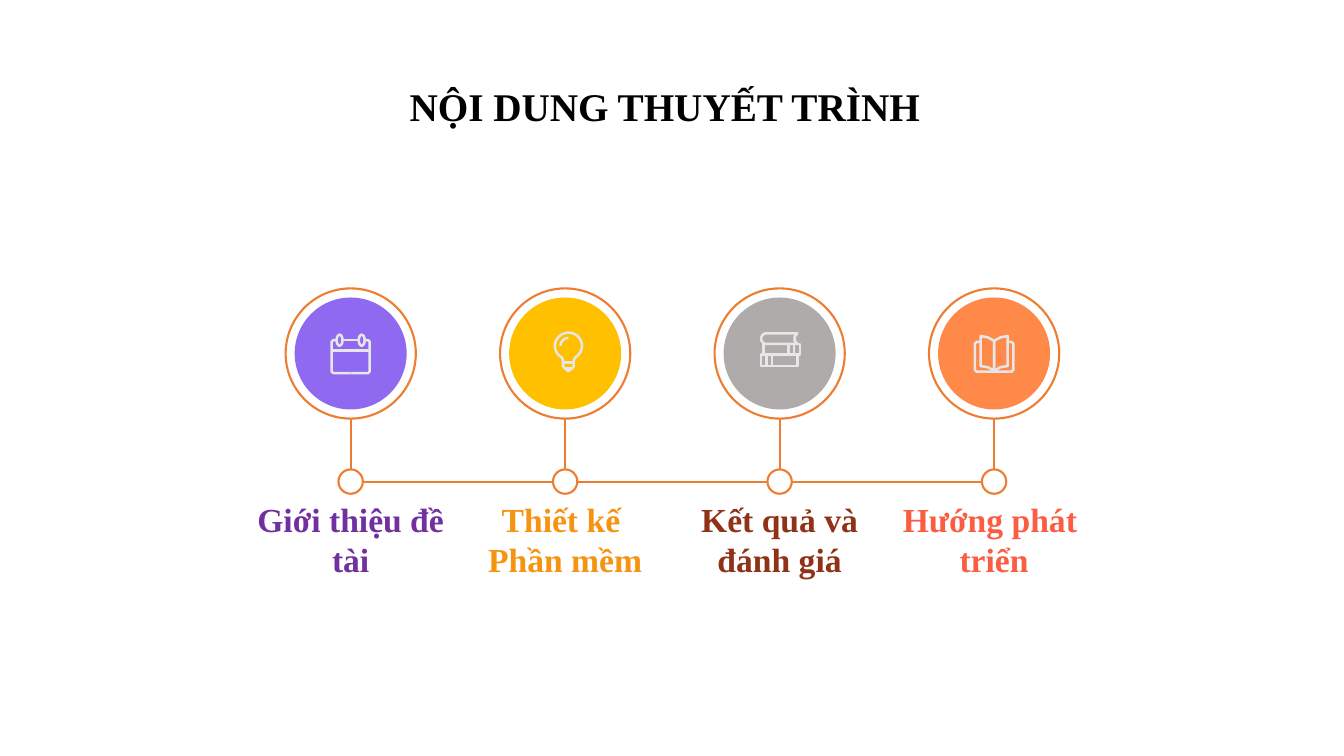
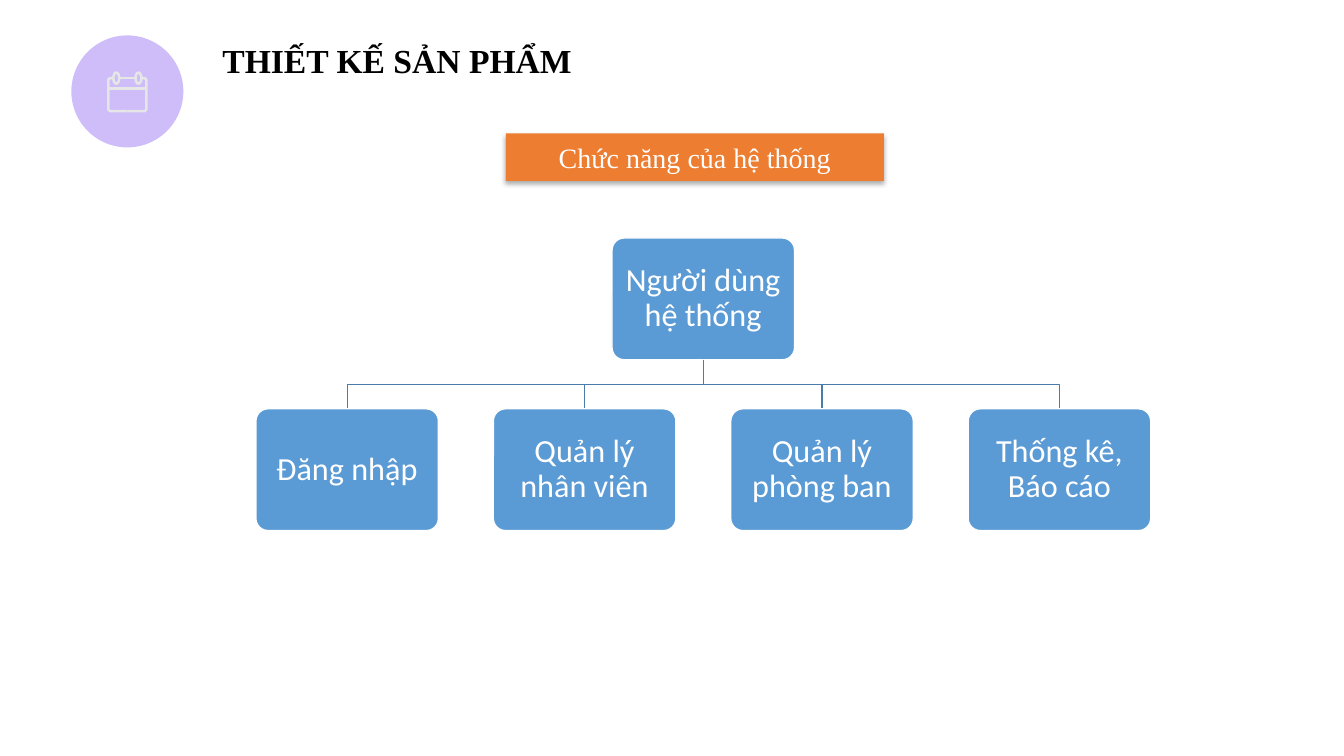
"""Build two slides: a four-step agenda and a function tree of the system."""
from dataclasses import dataclass
from math import cos, radians, sin
from typing import Any, Optional

from lxml.etree import SubElement
from pptx import Presentation
from pptx.dml.color import RGBColor
from pptx.enum.shapes import MSO_CONNECTOR as CXN, MSO_SHAPE as SHP
from pptx.enum.text import MSO_ANCHOR as ANCHOR, PP_ALIGN as ALIGN
from pptx.oxml.ns import qn
from pptx.util import Pt

Point = tuple[float, float]
Stroke = list[Point]

COLORS = {
    "black": "000000", "white": "FFFFFF", "icon": "E7E6E6", "accent": "ED7D31",
    "violet": "9069F1", "amber": "FFC000", "gray": "AFABAB", "coral": "FE8948",
    "purple": "7030A0", "orange": "F69412", "brown": "903218", "red": "FB5D43",
    "node": "5B9BD5", "branch": "497CAB",
}
SERIF = "Times New Roman"
TITLE = {"name": SERIF, "size": Pt(28), "bold": True}
HEADING = {"name": SERIF, "size": Pt(24), "bold": True}
BANNER = {"name": SERIF, "size": Pt(20), "bold": False}
NODE = {"name": "Calibri", "size": Pt(23), "bold": False}

DISC = 80
RING = 93
DOT = 17.4
NODE_W, NODE_H = 130.4, 87


@dataclass(frozen=True)
class Box:
    x: float
    y: float
    w: float
    h: float

    @classmethod
    def around(cls, cx: float, cy: float, w: float, h: float) -> "Box":
        return cls(cx - w / 2, cy - h / 2, w, h)

    def emu(self) -> tuple:
        return Pt(self.x), Pt(self.y), Pt(self.w), Pt(self.h)


@dataclass(frozen=True)
class Step:
    lines: tuple[str, ...]
    fill: str
    ink: str
    icon: str


STEPS = (
    Step(("Giới thiệu đề tài",), "violet", "purple", "calendar"),
    Step(("Thiết kế ", "Phần mềm"), "amber", "orange", "bulb"),
    Step(("Kết quả và", "đánh giá"), "gray", "brown", "books"),
    Step(("Hướng phát ", "triển"), "coral", "red", "open book"),
)
FUNCTIONS = ("Đăng nhập", "Quản lý nhân viên", "Quản lý phòng ban", "Thống kê, Báo cáo")


def arc(cx: float, cy: float, rx: float, ry: float, start: int, end: int) -> Stroke:
    step = 15 if end > start else -15
    angles = [radians(a) for a in range(start, end + step, step)]
    return [(cx + rx * cos(a), cy + ry * sin(a)) for a in angles]


def rect(left: float, top: float, right: float, bottom: float) -> Stroke:
    return [(left, top), (right, top), (right, bottom), (left, bottom), (left, top)]


def upright(x: float, top: float, bottom: float) -> Stroke:
    return [(x, top), (x, bottom)]


def mirror(stroke: Stroke) -> Stroke:
    return [(-x, y) for x, y in stroke]


CALENDAR_SIDE = [(-10, -9.5), (-12.5, -9.5), (-13.6, -8.4), (-13.6, 12.8), (-12.5, 14), (0, 14)]
COVER = [(-9.7, -8.3), (-12.5, -8.3), (-13.7, -7), (-13.7, 11.8), (-12.5, 13), (0, 13)]
PAGE = [(0, -9), (-4.5, -11.5), (-9.7, -12.5), (-9.7, 9), (-4.5, 9.8), (0, 12.3), (0, -9)]

ICONS: dict[str, list[Stroke]] = {
    "calendar": [
        CALENDAR_SIDE, mirror(CALENDAR_SIDE),
        [(-5.8, -9.5), (5.8, -9.5)], [(-13.6, -2.2), (13.6, -2.2)],
        arc(-7.9, -9.5, 2.1, 3.9, 0, 360), arc(7.9, -9.5, 2.1, 3.9, 0, 360),
    ],
    "bulb": [
        [(-1.5, 9), (-1.5, 4.7), *arc(2.4, -5.4, 9.7, 9.5, 120, 420), (6.3, 4.7), (6.3, 9),
         (4.8, 10.8), (2.4, 12.6), (0, 10.8), (-1.5, 9)],
        [(-1.5, 6.5), (6.3, 6.5)], [(0, 10.5), (4.8, 10.5)],
        arc(2.4, -5.4, 5.7, 5.7, 180, 270),
    ],
    "books": [
        [(12.6, -14.4), *arc(-9.4, -10.6, 3.8, 3.8, 270, 90), (12.6, -6.8), (10.8, -9),
         (10.8, -12.2), (12.6, -14.4)],
        rect(-11.5, -6.8, 14.4, 0.7), rect(-13.3, 0.7, 12.6, 9),
        upright(6.5, -6.8, 0.7), upright(10.4, -6.8, 0.7),
        upright(-9.4, 0.7, 9), upright(-5.4, 0.7, 9),
    ],
    "open book": [COVER, mirror(COVER), PAGE, mirror(PAGE)],
}


def rgb(name: str) -> RGBColor:
    return RGBColor.from_string(COLORS[name])


def set_line(s: Any, color: str, width: float) -> None:
    s.line.color.rgb = rgb(color)
    s.line.width = Pt(width)


def add_shape(slide: Any, kind: SHP, box: Box, fill: Optional[str] = None,
              line: Optional[str] = None, width: float = 1.5) -> Any:
    sp = slide.shapes.add_shape(kind, *box.emu())
    sp.shadow.inherit = False
    if fill:
        sp.fill.solid()
        sp.fill.fore_color.rgb = rgb(fill)
    else:
        sp.fill.background()
    if line:
        set_line(sp, line, width)
    else:
        sp.line.fill.background()
    return sp


def write(sp: Any, lines: tuple[str, ...], font: dict[str, Any], color: str,
          align: ALIGN = ALIGN.CENTER, anchor: ANCHOR = ANCHOR.MIDDLE,
          wrap: bool = True, inset: Optional[float] = None, spacing: float = 1.0) -> None:
    tf = sp.text_frame
    frame = {"word_wrap": wrap, "vertical_anchor": anchor}
    if inset is not None:
        frame |= {f"margin_{side}": Pt(inset) for side in ("left", "top", "right", "bottom")}
    for name, value in frame.items():
        setattr(tf, name, value)
    for i, text in enumerate(lines):
        p = tf.paragraphs[0] if i == 0 else tf.add_paragraph()
        p.alignment = align
        p.line_spacing = spacing
        r = p.add_run()
        r.text = text
        for name, value in font.items():
            setattr(r.font, name, value)
        r.font.color.rgb = rgb(color)


def add_text(slide: Any, box: Box, lines: tuple[str, ...], font: dict[str, Any],
             color: str, **layout: Any) -> None:
    write(slide.shapes.add_textbox(*box.emu()), lines, font, color, **layout)


def add_line(slide: Any, start: Point, end: Point, color: str, width: float) -> None:
    ends = (Pt(v) for v in (*start, *end))
    cxn = slide.shapes.add_connector(CXN.STRAIGHT, *ends)
    set_line(cxn, color, width)
    SubElement(cxn._element.spPr, qn("a:effectLst"))


def add_strokes(slide: Any, strokes: list[Stroke], color: str, width: float,
                cx: float = 0, cy: float = 0) -> None:
    paths = [[(Pt(cx + x), Pt(cy + y)) for x, y in stroke] for stroke in strokes]
    builder = slide.shapes.build_freeform(*paths[0][0])
    for i, points in enumerate(paths):
        if i:
            builder.move_to(*points[0])
        builder.add_line_segments(points[1:], close=False)
    sp = builder.convert_to_shape()
    sp.shadow.inherit = False
    sp.fill.background()
    set_line(sp, color, width)


def add_badge(slide: Any, cx: float, cy: float, fill: str, icon: str,
              opacity: int = 100) -> None:
    sp = add_shape(slide, SHP.OVAL, Box.around(cx, cy, DISC, DISC), fill)
    if opacity < 100:
        clr = sp._element.spPr.find(".//" + qn("a:srgbClr"))
        SubElement(clr, qn("a:alpha"), val=str(opacity * 1000))
    add_strokes(slide, ICONS[icon], "icon", 1.8, cx, cy)


def add_shadow(sp: Any, opacity: int, blur: float, distance: float) -> None:
    effects = sp._element.spPr.find(qn("a:effectLst"))
    shadow = SubElement(effects, qn("a:outerShdw"), blurRad=str(Pt(blur)),
                        dist=str(Pt(distance)), dir="5400000", algn="ctr", rotWithShape="0")
    clr = SubElement(shadow, qn("a:srgbClr"), val=COLORS["black"])
    SubElement(clr, qn("a:alpha"), val=str(opacity * 1000))


def add_node(slide: Any, cx: float, top: float, text: str) -> None:
    box = Box(cx - NODE_W / 2, top, NODE_W, NODE_H)
    sp = add_shape(slide, SHP.ROUNDED_RECTANGLE, box, "node", "white", 1)
    sp.adjustments[0] = 0.1
    write(sp, (text,), NODE, "white", inset=6, spacing=0.9)


def agenda_slide(slide: Any) -> None:
    add_text(slide, Box(231, 57.6, 487.5, 42.5), ("NỘI DUNG THUYẾT TRÌNH",), TITLE, "black",
             anchor=ANCHOR.BOTTOM, inset=7.2, spacing=0.9)
    first, pitch, badge_y, rail_y = 250.5, 153.2, 252.5, 344
    centers = [first + pitch * i for i in range(len(STEPS))]
    add_line(slide, (centers[0], rail_y), (centers[-1], rail_y), "accent", 1.5)
    for cx, step in zip(centers, STEPS):
        add_line(slide, (cx, badge_y + RING / 2), (cx, rail_y - DOT / 2), "accent", 1.5)
        add_shape(slide, SHP.OVAL, Box.around(cx, badge_y, RING, RING), line="accent")
        add_badge(slide, cx, badge_y, step.fill, step.icon)
        add_shape(slide, SHP.OVAL, Box.around(cx, rail_y, DOT, DOT), "white", "accent")
        add_text(slide, Box.around(cx, 385, 152, 34), step.lines, HEADING, step.ink, inset=7.2)


def functions_slide(slide: Any) -> None:
    add_badge(slide, 91, 65.3, "violet", "calendar", opacity=44)
    add_text(slide, Box(151.8, 25, 266, 36), ("THIẾT KẾ SẢN PHẨM",), HEADING, "black",
             align=ALIGN.LEFT, anchor=ANCHOR.TOP, wrap=False)
    banner = add_shape(slide, SHP.RECTANGLE, Box(361.3, 95.2, 270, 34), "accent")
    add_shadow(banner, 32, 3.5, 2.2)
    write(banner, ("Chức năng của hệ thống",), BANNER, "white")

    root_x, root_y, bus_y, child_y, pitch = 502.4, 170, 274.5, 292, 169.6
    middle = (len(FUNCTIONS) - 1) / 2
    add_node(slide, root_x, root_y, "Người dùng hệ thống")
    for i, text in enumerate(FUNCTIONS):
        cx = root_x + pitch * (i - middle)
        branch = [(root_x, root_y + NODE_H), (root_x, bus_y), (cx, bus_y), (cx, child_y)]
        add_strokes(slide, [branch], "branch", 1)
        add_node(slide, cx, child_y, text)


def main() -> None:
    prs = Presentation()
    prs.slide_width, prs.slide_height = Pt(960), Pt(540)
    for build in (agenda_slide, functions_slide):
        build(prs.slides.add_slide(prs.slide_layouts[6]))
    prs.save("out.pptx")


if __name__ == "__main__":
    main()
